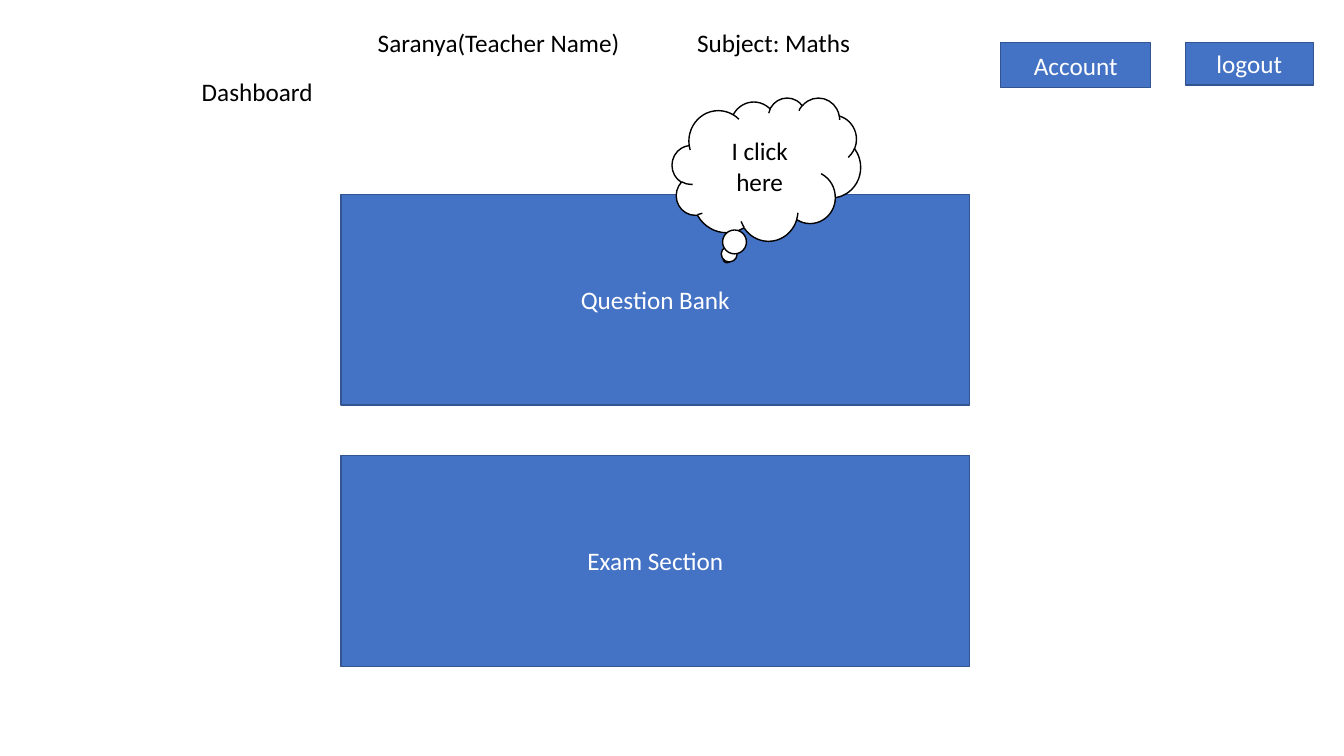
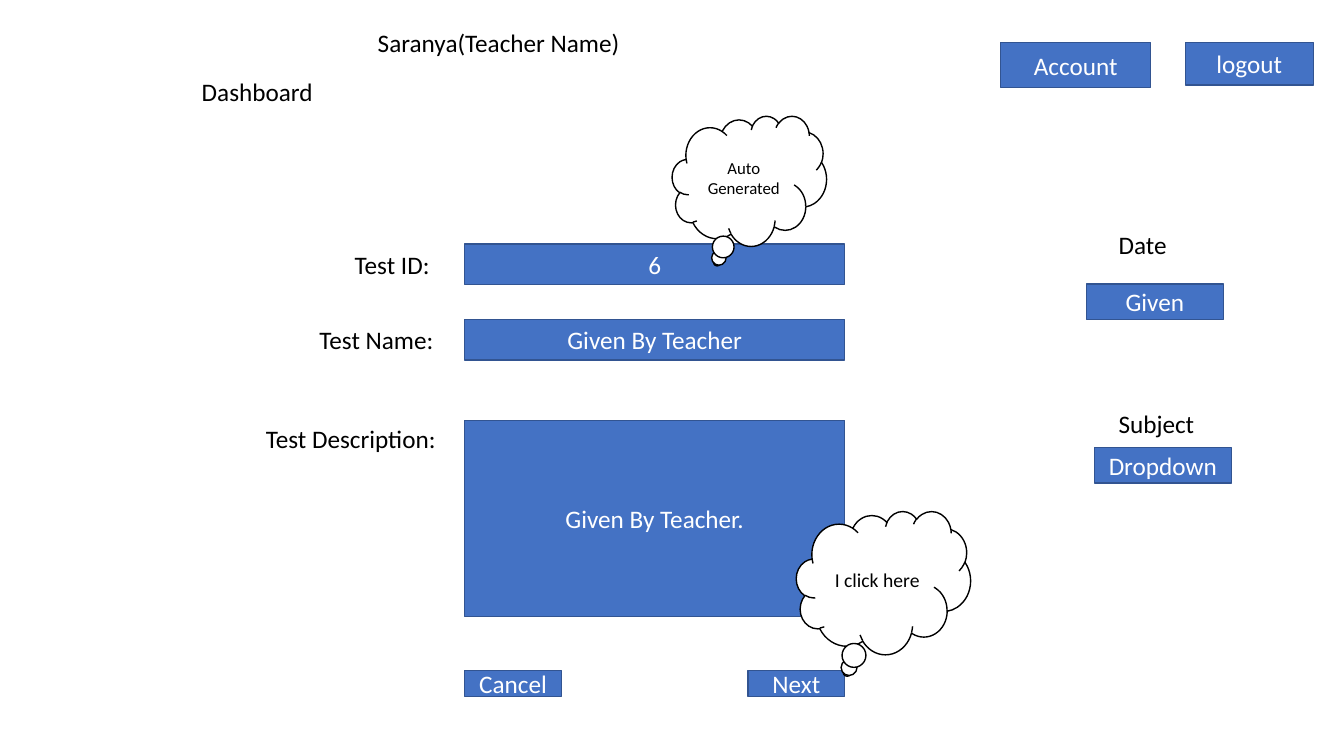
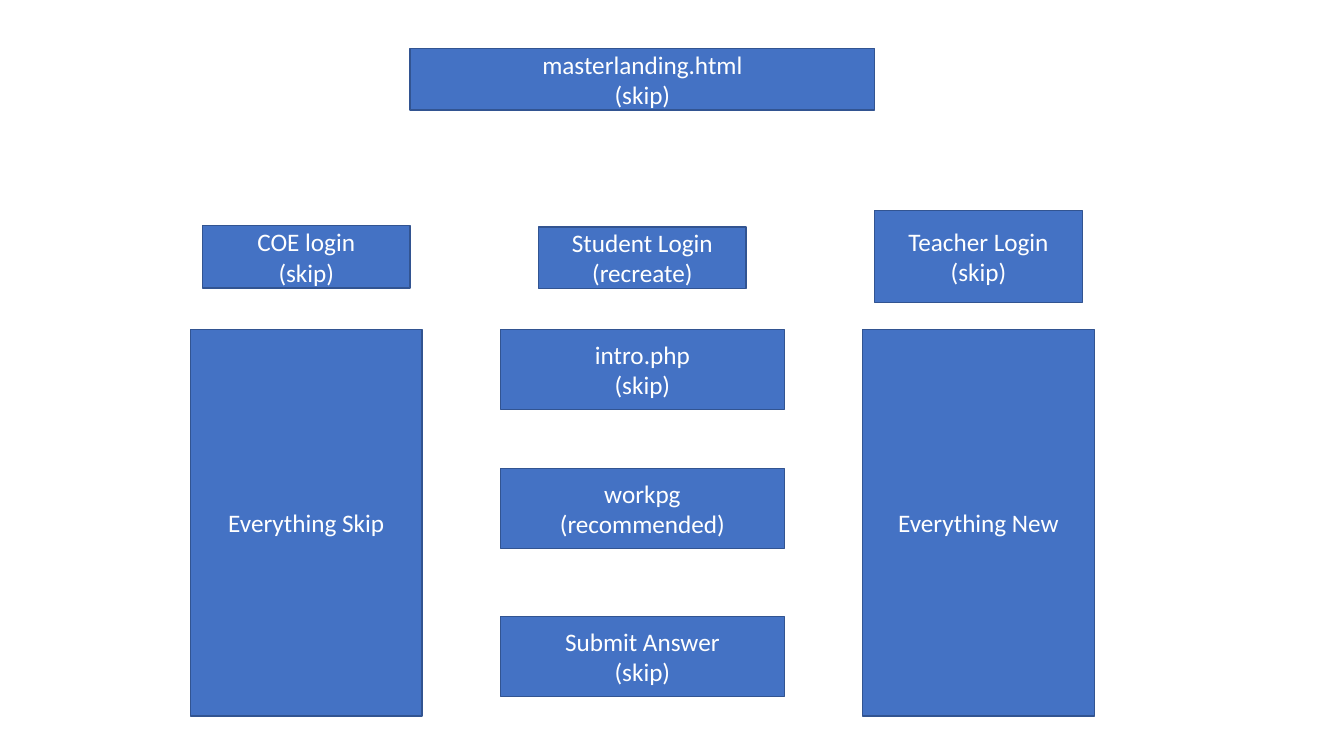
from dataclasses import dataclass

from lxml import etree
from pptx import Presentation
from pptx.dml.color import RGBColor
from pptx.enum.shapes import MSO_SHAPE
from pptx.enum.text import MSO_ANCHOR, MSO_AUTO_SIZE, PP_ALIGN
from pptx.oxml.ns import qn
from pptx.util import Cm, Pt

RECTANGLE = MSO_SHAPE.RECTANGLE
CLOUD = MSO_SHAPE.CLOUD_CALLOUT
MIDDLE = MSO_ANCHOR.MIDDLE
TOP = MSO_ANCHOR.TOP
NO_AUTOFIT = MSO_AUTO_SIZE.NONE
LEFT = PP_ALIGN.LEFT
CENTER = PP_ALIGN.CENTER
TITLE_ONLY_LAYOUT = 5
BLANK_LAYOUT = 6


@dataclass(frozen=True)
class Theme:
    font: str = "Calibri"
    box_fill: RGBColor = RGBColor(0x44, 0x72, 0xC4)
    box_line: RGBColor = RGBColor(0x32, 0x54, 0x91)
    light: RGBColor = RGBColor(0xFF, 0xFF, 0xFF)
    dark: RGBColor = RGBColor(0, 0, 0)
    body_size: int = 18
    note_size: int = 14
    small_size: int = 12
    line_width: int = 1


THEME = Theme()

DASHBOARD = ("Dashboard", (4.83, 1.78, 4.39, 1.07))
TEACHER_AT = (9.27, 0.56, 12.57, 1.02)
TEACHER = "Saranya(Teacher Name)"
SUBJECT_TAB = 8.05
HEADER_BUTTONS = [
    ("Account", (25.22, 1.07, 3.78, 1.14)),
    ("logout", (29.87, 1.07, 3.23, 1.07)),
]

SECTIONS = ["Question Bank", "Exam Section"]
SECTION_LEFT, SECTION_TOP, SECTION_WIDTH, SECTION_HEIGHT = 8.59, 4.9, 15.85, 5.31
SECTION_PITCH = 6.58
SECTION_CLOUD = ("I click here", (16.94, 2.46, 4.75, 3.61), THEME.body_size)

FIELD_LEFT, FIELD_WIDTH = 11.71, 9.58
LABEL_HEIGHT = 1.02
FIELDS = [
    ("Test ID:", 8.69, 6.17, "6", 6.15, 1.02),
    ("Test Name:", 7.8, 8.05, "Given By Teacher", 8.05, 1.02),
    ("Test Description:", 6.45, 10.54, "Given By Teacher.", 10.59, 4.95),
]
LABEL_RIGHT = 11.35
SIDE_LABEL_LEFT, SIDE_LABEL_WIDTH = 27.94, 2.57
SIDE_BOX_WIDTH, SIDE_BOX_HEIGHT = 3.45, 0.89
SIDE_FIELDS = [
    ("Date", 5.66, "Given", 27.38, 7.16),
    ("Subject", 10.16, "Dropdown", 27.58, 11.28),
]
ACTION_TOP, ACTION_WIDTH, ACTION_HEIGHT = 16.89, 2.44, 0.66
ACTIONS = [
    ("Cancel", FIELD_LEFT),
    ("Next", FIELD_LEFT + FIELD_WIDTH - ACTION_WIDTH),
]
FORM_CLOUDS = [
    ("Auto Generated", (16.94, 2.92, 3.89, 3.28), THEME.small_size),
    ("I click here", (20.07, 12.88, 4.39, 3.61), THEME.note_size),
]

MAP_CENTER, MAP_PITCH = 16.19, 8.47
LANDING = ("masterlanding.html\n(skip)", 0, 1.22, 11.71, 1.55)
LOGINS = [
    ("COE login\n(skip)", -1, 5.69, 5.23, 1.57),
    ("Student Login\n(recreate)", 0, 5.72, 5.23, 1.55),
    ("Teacher Login\n(skip)", 1, 5.31, 5.23, 2.31),
]
STEPS = [
    ("intro.php\n(skip)", 0, 8.31, 7.16, 2.01),
    ("workpg\n(recommended)", 0, 11.81, 7.16, 2.01),
    ("Submit Answer\n(skip)", 0, 15.54, 7.16, 2.01),
]
SUMMARIES = [
    ("Everything Skip", -1, 8.31, 5.84, 9.73),
    ("Everything New", 1, 8.31, 5.84, 9.73),
]


def write(shape, text, color, size=THEME.body_size, align=LEFT, anchor=TOP):
    frame = shape.text_frame
    frame.word_wrap = True
    frame.auto_size = NO_AUTOFIT
    frame.vertical_anchor = anchor
    for index, line in enumerate(text.split("\n")):
        paragraph = frame.add_paragraph() if index else frame.paragraphs[0]
        paragraph.alignment = align
        run = paragraph.add_run()
        run.text = line
        run.font.name = THEME.font
        run.font.size = Pt(size)
        run.font.color.rgb = color


def add_label(slide, text, area):
    label = slide.shapes.add_textbox(*map(Cm, area))
    write(label, text, THEME.dark)
    return label


def add_outlined(slide, kind, area, fill, line):
    shape = slide.shapes.add_shape(kind, *map(Cm, area))
    shape.shadow.inherit = False
    shape.fill.solid()
    shape.fill.fore_color.rgb = fill
    shape.line.color.rgb = line
    shape.line.width = Pt(THEME.line_width)
    return shape


def add_box(slide, text, area):
    box = add_outlined(slide, RECTANGLE, area, THEME.box_fill, THEME.box_line)
    write(box, text, THEME.light, align=CENTER, anchor=MIDDLE)


def add_cloud(slide, text, area, size):
    cloud = add_outlined(slide, CLOUD, area, THEME.light, THEME.dark)
    write(cloud, text, THEME.dark, size, CENTER, MIDDLE)


def add_tab_stop(label, position):
    properties = label.text_frame.paragraphs[0]._p.get_or_add_pPr()
    tabs = etree.SubElement(properties, qn("a:tabLst"))
    etree.SubElement(tabs, qn("a:tab"), pos=str(Cm(position)), algn="l")


def add_dashboard_slide(presentation, header):
    slide = presentation.slides.add_slide(presentation.slide_layouts[TITLE_ONLY_LAYOUT])
    title = slide.shapes.title
    text, area = DASHBOARD
    title.left, title.top, title.width, title.height = map(Cm, area)
    write(title, text, THEME.dark, anchor=MIDDLE)
    add_tab_stop(add_label(slide, header, TEACHER_AT), SUBJECT_TAB)
    for name, button_area in HEADER_BUTTONS:
        add_box(slide, name, button_area)
    return slide


def build_sections(presentation):
    slide = add_dashboard_slide(presentation, TEACHER + "\tSubject: Maths")
    for index, name in enumerate(SECTIONS):
        top = SECTION_TOP + index * SECTION_PITCH
        add_box(slide, name, (SECTION_LEFT, top, SECTION_WIDTH, SECTION_HEIGHT))
    add_cloud(slide, *SECTION_CLOUD)


def build_test_form(presentation):
    slide = add_dashboard_slide(presentation, TEACHER)
    for label, left, label_top, value, top, height in FIELDS:
        add_label(slide, label, (left, label_top, LABEL_RIGHT - left, LABEL_HEIGHT))
        add_box(slide, value, (FIELD_LEFT, top, FIELD_WIDTH, height))
    for label, label_top, value, left, top in SIDE_FIELDS:
        add_label(slide, label, (SIDE_LABEL_LEFT, label_top, SIDE_LABEL_WIDTH, LABEL_HEIGHT))
        add_box(slide, value, (left, top, SIDE_BOX_WIDTH, SIDE_BOX_HEIGHT))
    for name, left in ACTIONS:
        add_box(slide, name, (left, ACTION_TOP, ACTION_WIDTH, ACTION_HEIGHT))
    for cloud in FORM_CLOUDS:
        add_cloud(slide, *cloud)


def build_page_map(presentation):
    slide = presentation.slides.add_slide(presentation.slide_layouts[BLANK_LAYOUT])
    for text, column, top, width, height in [LANDING, *LOGINS, *STEPS, *SUMMARIES]:
        left = MAP_CENTER + column * MAP_PITCH - width / 2
        add_box(slide, text, (left, top, width, height))


presentation = Presentation()
presentation.slide_width = Cm(33.87)
presentation.slide_height = Cm(19.05)
build_sections(presentation)
build_test_form(presentation)
build_page_map(presentation)
presentation.save("out.pptx")
